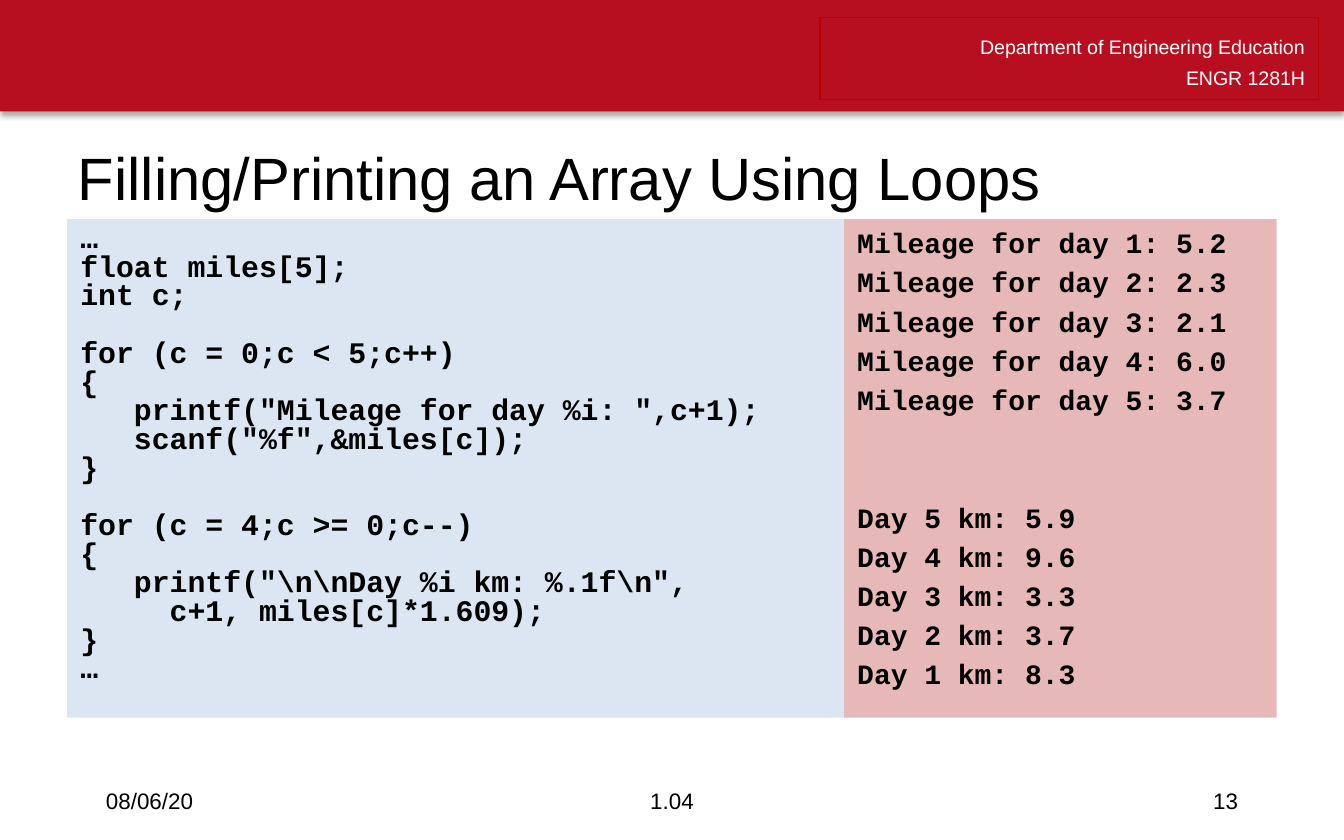
from lxml import etree
from pptx import Presentation
from pptx.dml.color import RGBColor
from pptx.enum.shapes import MSO_SHAPE
from pptx.enum.text import MSO_ANCHOR, PP_ALIGN
from pptx.oxml.ns import nsdecls
from pptx.util import Inches, Pt

RECT = MSO_SHAPE.RECTANGLE
TOP, MIDDLE = MSO_ANCHOR.TOP, MSO_ANCHOR.MIDDLE
LEFT, CENTER, RIGHT = PP_ALIGN.LEFT, PP_ALIGN.CENTER, PP_ALIGN.RIGHT
TITLE_ONLY = 5

COLORS = {"banner": "B70F20", "frame": "BB0000", "code": "DCE6F2",
          "output": "E6B9B8", "text": "000000", "white": "FFFFFF"}
SANS, MONO = "Arial", "Courier New"

CODE = [
    ["…", "float miles[5];", "int c;"],
    ["for (c = 0;c < 5;c++)", "{",
     '   printf("Mileage for day %i: ",c+1);',
     '   scanf("%f",&miles[c]);', "}"],
    ["for (c = 4;c >= 0;c--)", "{",
     r'   printf("\n\nDay %i km: %.1f\n",',
     "     c+1, miles[c]*1.609);", "}", "…"],
]
MILES = [5.2, 2.3, 2.1, 6.0, 3.7]
KM = [(5, 5.9), (4, 9.6), (3, 3.3), (2, 3.7), (1, 8.3)]
OUTPUT = [
    [f"Mileage for day {day}: {miles}" for day, miles in enumerate(MILES, 1)],
    [f"Day {day} km: {km}" for day, km in KM],
]


def color(name):
    return RGBColor.from_string(COLORS[name])


class SlideBuilder:
    def __init__(self, prs):
        self.slide = prs.slides.add_slide(prs.slide_layouts[TITLE_ONLY])

    def set_text(self, sp, lines, size, font=SANS, ink="text", align=LEFT,
                 anchor=MIDDLE, bold=False, spacing=None, before=0):
        tf = sp.text_frame
        tf.word_wrap = True
        tf.vertical_anchor = anchor
        tf.text = "\n".join(lines)
        for p in tf.paragraphs:
            p.alignment = align
            p.space_before = Pt(before)
            if spacing:
                p.line_spacing = spacing
            for r in p.runs:
                r.font.name, r.font.size, r.font.bold = font, Pt(size), bold
                r.font.color.rgb = color(ink)

    def title(self, text, box):
        sp = self.slide.shapes.title
        sp.left, sp.top, sp.width, sp.height = map(Inches, box)
        self.set_text(sp, [text], 32)

    def rect(self, box, fill=None, line=None):
        sp = self.slide.shapes.add_shape(RECT, *map(Inches, box))
        sp.shadow.inherit = False
        if fill:
            sp.fill.solid()
            sp.fill.fore_color.rgb = color(fill)
        else:
            sp.fill.background()
        if line:
            sp.line.color.rgb = color(line)
            sp.line.width = Pt(0.75)
        else:
            sp.line.fill.background()
        return sp

    def banner(self, box):
        """Draw the top band with a soft shadow beneath it."""
        sp = self.rect(box, "banner")
        effects = sp._element.spPr.find("{*}effectLst")
        effects.append(etree.fromstring(
            f'<a:outerShdw {nsdecls("a")} blurRad="{Pt(3.1)}" dist="{Pt(1.8)}" '
            'dir="5400000" rotWithShape="0"><a:srgbClr val="000000">'
            '<a:alpha val="35000"/></a:srgbClr></a:outerShdw>'))

    def listing(self, box, fill, groups, size, gap, before=0, spacing=None):
        """Draw a filled panel of monospaced lines, with a gap between groups."""
        sp = self.rect(box, fill)
        self.set_text(sp, [line for group in groups for line in group], size,
                      MONO, anchor=TOP, bold=True, spacing=spacing,
                      before=before)
        start = 0
        for group in groups[:-1]:
            start += len(group)
            sp.text_frame.paragraphs[start].space_before = Pt(gap)

    def label(self, text, box, align):
        sp = self.slide.shapes.add_textbox(*map(Inches, box))
        self.set_text(sp, [text], 12, align=align)


def main():
    prs = Presentation()
    prs.slide_width, prs.slide_height = Inches(10), Inches(6.25)
    s = SlideBuilder(prs)

    s.banner((0, 0, 10, 0.83))
    department = s.rect((6.1, 0.13, 3.71, 0.61), line="frame")
    s.set_text(department, ["Department of Engineering Education", "ENGR 1281H"],
               10.5, ink="white", align=RIGHT, spacing=Pt(16.4))
    s.title("Filling/Printing an Array Using Loops", (0.48, 0.96, 9.07, 0.71))

    s.listing((0.5, 1.63, 5.78, 3.71), "code", CODE, 16, gap=15.4, spacing=0.8)
    s.listing((6.28, 1.63, 3.22, 3.71), "output", OUTPUT, 15, gap=45, before=3)

    s.label("08/06/20", (0.69, 5.79, 2.25, 0.33), LEFT)
    s.label("1.04", (3.31, 5.79, 3.38, 0.33), CENTER)
    s.label("13", (7.06, 5.79, 2.25, 0.33), RIGHT)
    prs.save("out.pptx")


if __name__ == "__main__":
    main()
